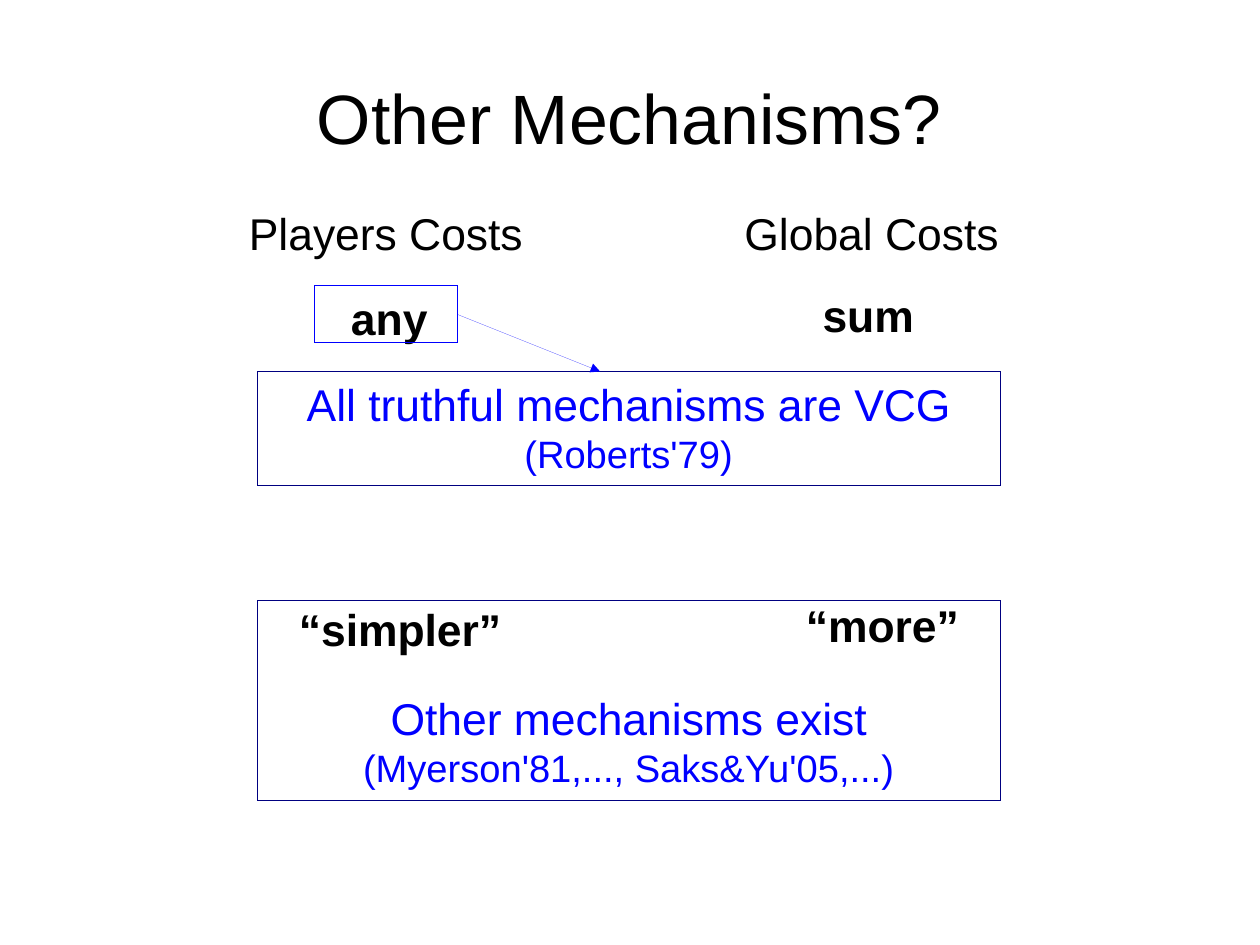
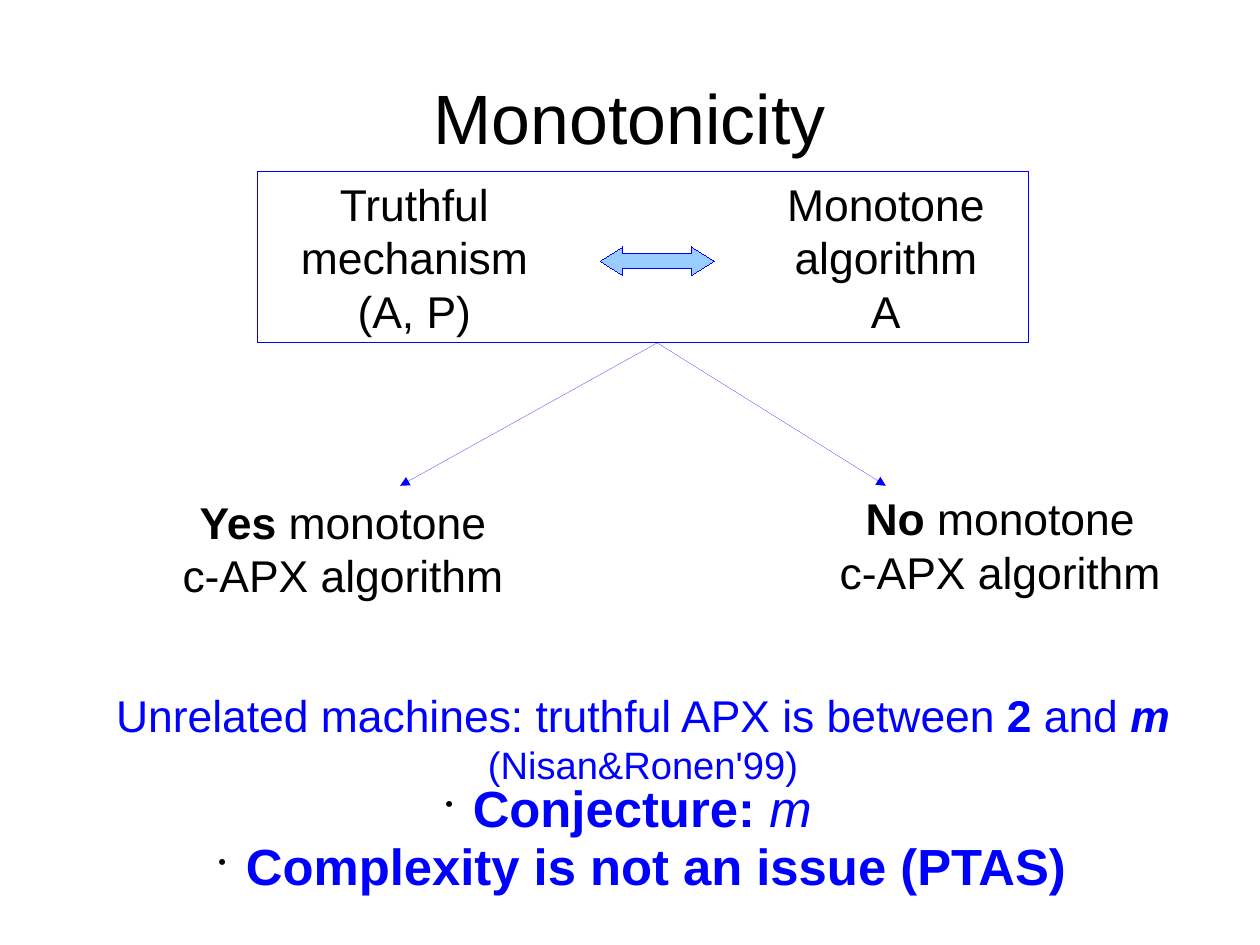
from dataclasses import dataclass
from typing import Any, Optional

from lxml import etree
from pptx import Presentation
from pptx import util as u
from pptx.dml.color import RGBColor
from pptx.enum import shapes, text
from pptx.oxml import ns
from pptx.shapes.autoshape import Shape
from pptx.slide import Slide

PX = 9144
PAGE_SIZE = {"slide_width": u.Cm(28), "slide_height": u.Cm(21)}
COLOURS = {
    "ink": "000000",
    "blue": "0000FF",
    "navy": "000080",
    "sky": "99CCFF",
}
FONT = "Arial"
TITLE_AREA = (55, 38, 992, 128)
TITLE_SIZE, BODY_SIZE, CITE_SIZE, POINT_SIZE = 44, 28, 24, 32
BULLET_INDENT = 24
TITLE_FRAME = {
    "margin_left": 0,
    "margin_top": 0,
    "margin_right": 0,
    "margin_bottom": 0,
    "word_wrap": True,
    "auto_size": text.MSO_AUTO_SIZE.NONE,
    "vertical_anchor": text.MSO_ANCHOR.MIDDLE,
}
LABEL_FRAME = {
    "margin_left": 10 * PX,
    "margin_top": 5 * PX,
    "margin_right": 10 * PX,
    "margin_bottom": 5 * PX,
    "word_wrap": True,
    "auto_size": text.MSO_AUTO_SIZE.SHAPE_TO_FIT_TEXT,
    "vertical_anchor": text.MSO_ANCHOR.TOP,
}


@dataclass(frozen=True)
class Span:
    words: str
    bold: bool = False
    italic: bool = False
    size: int = BODY_SIZE


@dataclass(frozen=True)
class Label:
    area: tuple[int, int, int, int]
    lines: list[list[Span]]
    colour: str = "ink"
    bullet: bool = False


@dataclass(frozen=True)
class Frame:
    area: tuple[int, int, int, int]
    line: str = "blue"
    fill: Optional[str] = None
    kind: shapes.MSO_SHAPE = shapes.MSO_SHAPE.RECTANGLE
    adjustments: tuple[float, ...] = ()


@dataclass(frozen=True)
class Arrow:
    start: tuple[int, int]
    end: tuple[int, int]


def rgb(name: str) -> RGBColor:
    return RGBColor.from_string(COLOURS[name])


def scaled(values: tuple[int, ...]) -> list[int]:
    return [value * PX for value in values]


def assign(target: Any, values: dict[str, Any]) -> None:
    for name, value in values.items():
        setattr(target, name, value)


def add_child(parent: Any, tag: str, **attributes: str) -> Any:
    return etree.SubElement(parent, ns.qn(tag), attributes)


def add_bullet(para: Any) -> None:
    properties = para._p.get_or_add_pPr()
    properties.set("marL", str(BULLET_INDENT * PX))
    properties.set("indent", str(-BULLET_INDENT * PX))
    colour = add_child(properties, "a:buClr")
    add_child(colour, "a:srgbClr", val=COLOURS["ink"])
    add_child(properties, "a:buSzPct", val="45000")
    add_child(properties, "a:buChar", char="•")


def write(frame: Any, lines: list[list[Span]], colour: str, bullet: bool = False) -> None:
    for index, line in enumerate(lines):
        para = frame.add_paragraph() if index else frame.paragraphs[0]
        para.alignment = text.PP_ALIGN.CENTER
        if bullet:
            add_bullet(para)
        for span in line:
            run = para.add_run()
            run.text = span.words
            assign(run.font, {
                "name": FONT,
                "size": u.Pt(span.size),
                "bold": span.bold,
                "italic": span.italic,
            })
            run.font.color.rgb = rgb(colour)


def add_page(deck: Any, title: str) -> Slide:
    page = deck.slides.add_slide(deck.slide_layouts[5])
    box = page.shapes.title
    assign(box, dict(zip(("left", "top", "width", "height"), scaled(TITLE_AREA))))
    assign(box.text_frame, TITLE_FRAME)
    write(box.text_frame, [[Span(title, size=TITLE_SIZE)]], "ink")
    return page


def draw_label(page: Slide, label: Label) -> None:
    box = page.shapes.add_textbox(*scaled(label.area))
    assign(box.text_frame, LABEL_FRAME)
    write(box.text_frame, label.lines, label.colour, label.bullet)


def set_hairline(line: Any, colour: str) -> Any:
    line.color.rgb = rgb(colour)
    outline = line._get_or_add_ln()
    outline.set("w", "0")
    return outline


def draw_frame(page: Slide, frame: Frame) -> Shape:
    box = page.shapes.add_shape(frame.kind, *scaled(frame.area))
    box.shadow.inherit = False
    for index, value in enumerate(frame.adjustments):
        box.adjustments[index] = value
    if frame.fill:
        box.fill.solid()
        box.fill.fore_color.rgb = rgb(frame.fill)
    else:
        box.fill.background()
    set_hairline(box.line, frame.line)
    return box


def draw_arrow(page: Slide, arrow: Arrow, source: Optional[Shape] = None) -> None:
    connector = page.shapes.add_connector(
        shapes.MSO_CONNECTOR.STRAIGHT, *scaled(arrow.start + arrow.end))
    if source is not None:
        connector.begin_connect(source, 3)
    outline = set_hairline(connector.line, "blue")
    add_child(outline, "a:tailEnd", type="triangle")
    add_child(connector._element.spPr, "a:effectLst")


def result(area: tuple[int, int, int, int], claim: list[Span], citation: str) -> Label:
    return Label(area, [claim, [Span(citation, size=CITE_SIZE)]], "blue")


def build_mechanisms(deck: Any) -> None:
    page = add_page(deck, "Other Mechanisms?")
    for left, heading in ((200, "Players Costs"), (625, "Global Costs")):
        draw_label(page, Label((left, 175, 275, 53), [[Span(heading)]]))
    for area, words in (
        ((281, 250, 119, 53), "any"),
        ((700, 247, 119, 53), "sum"),
        ((250, 522, 200, 53), "“simpler”"),
        ((694, 518, 156, 53), "“more”"),
    ):
        draw_label(page, Label(area, [[Span(words, bold=True)]]))
    for top, claim, citation in (
        (325, "All truthful mechanisms are VCG", "(Roberts'79)"),
        (600, "Other mechanisms exist", "(Myerson'81,..., Saks&Yu'05,...)"),
    ):
        draw_label(page, result((175, top, 750, 90), [Span(claim)], citation))
    for top, height in ((325, 100), (525, 175)):
        draw_frame(page, Frame((225, top, 650, height), "navy"))
    any_frame = draw_frame(page, Frame((275, 250, 125, 50)))
    draw_arrow(page, Arrow((400, 275), (525, 325)), any_frame)


def build_monotonicity(deck: Any) -> None:
    page = add_page(deck, "Monotonicity")
    draw_frame(page, Frame((525, 216, 100, 25), fill="sky",
                           kind=shapes.MSO_SHAPE.LEFT_RIGHT_ARROW,
                           adjustments=(0.5, 0.8)))
    for left, width, lines in (
        (250, 225, ("Truthful", "mechanism", "(A, P)")),
        (675, 200, ("Monotone", "algorithm", "A")),
    ):
        draw_label(page, Label((left, 150, width, 145), [[Span(line)] for line in lines]))
    draw_frame(page, Frame((225, 150, 675, 150)))
    for left, top, height, answer, tip in (
        (700, 425, 100, "No", 775),
        (125, 428, 97, "Yes", 350),
    ):
        draw_label(page, Label((left, top, 350, height), [
            [Span(answer, bold=True), Span(" monotone")],
            [Span("c-APX algorithm")],
        ]))
        draw_arrow(page, Arrow((575, 300), (tip, 425)))
    draw_label(page, result((75, 597, 975, 90), [
        Span("Unrelated machines: truthful APX is between "),
        Span("2", bold=True),
        Span(" and "),
        Span("m", bold=True, italic=True),
    ], "(Nisan&Ronen'99)"))
    for area, spans in (
        ((325, 675, 450, 60), [
            Span("Conjecture: ", bold=True, size=POINT_SIZE),
            Span("m", italic=True, size=POINT_SIZE),
        ]),
        ((175, 725, 775, 60), [
            Span("Complexity is not an issue (PTAS)", bold=True, size=POINT_SIZE),
        ]),
    ):
        draw_label(page, Label(area, [spans], "blue", bullet=True))


def main() -> None:
    deck = Presentation()
    assign(deck, PAGE_SIZE)
    build_mechanisms(deck)
    build_monotonicity(deck)
    deck.save("out.pptx")


if __name__ == "__main__":
    main()
